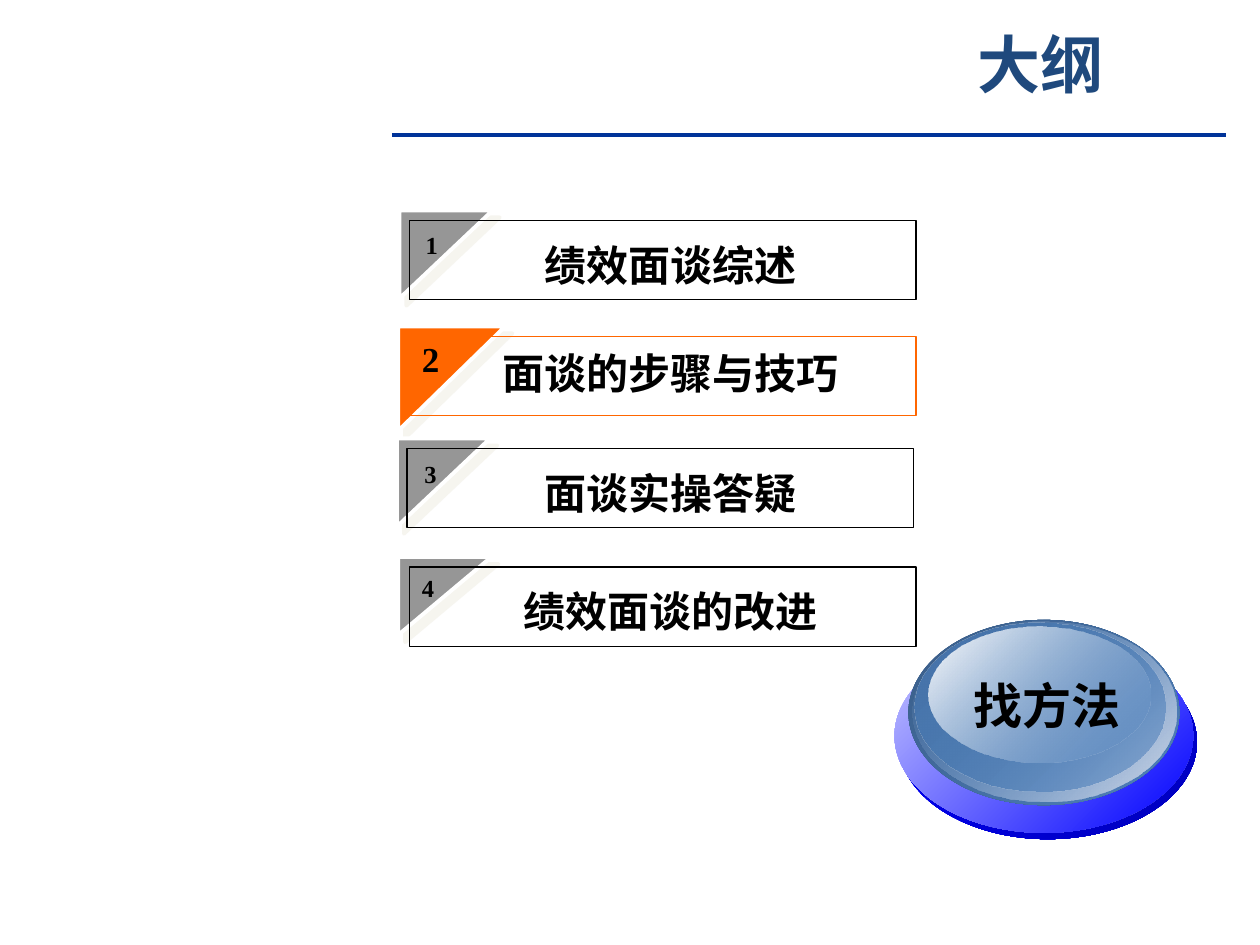
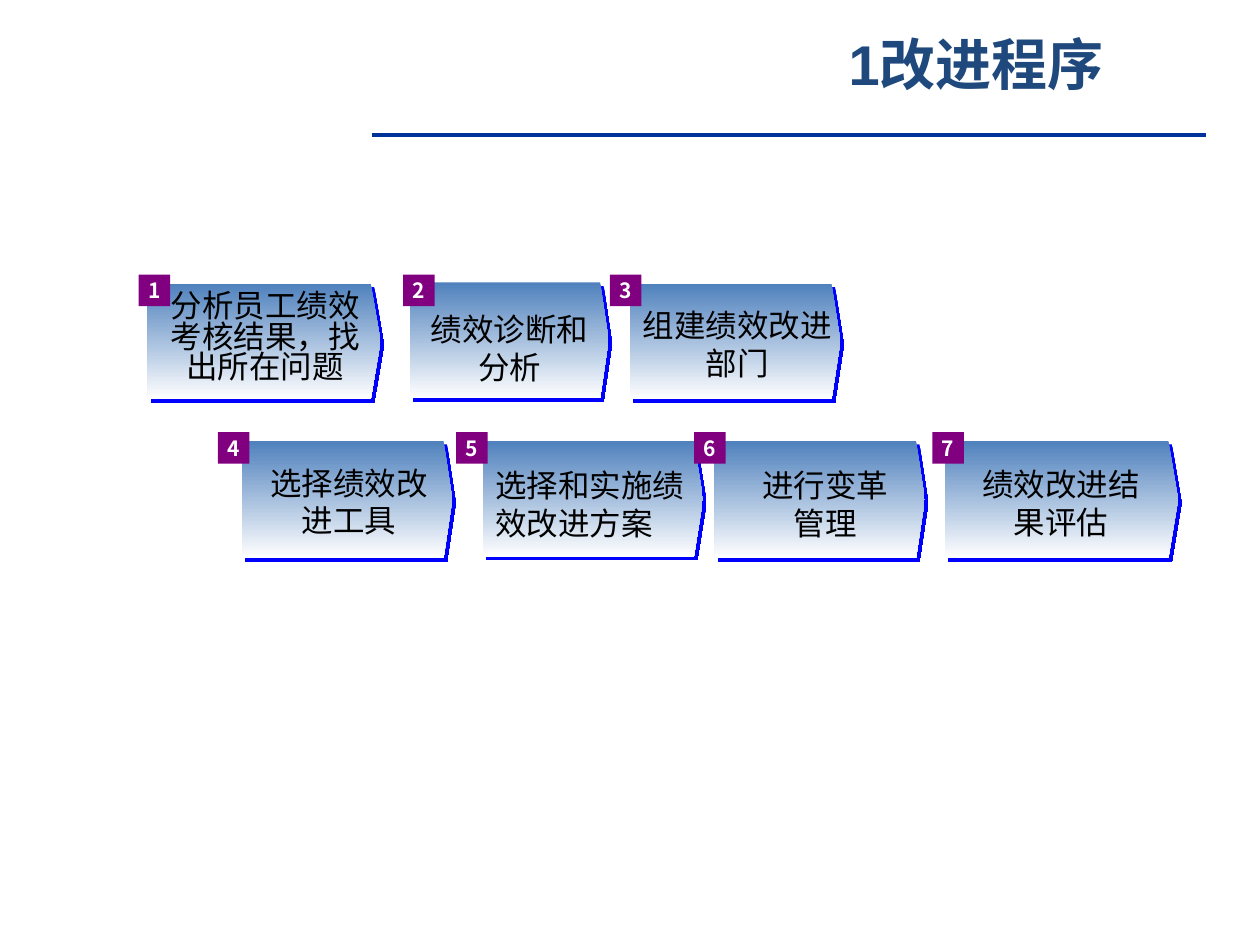
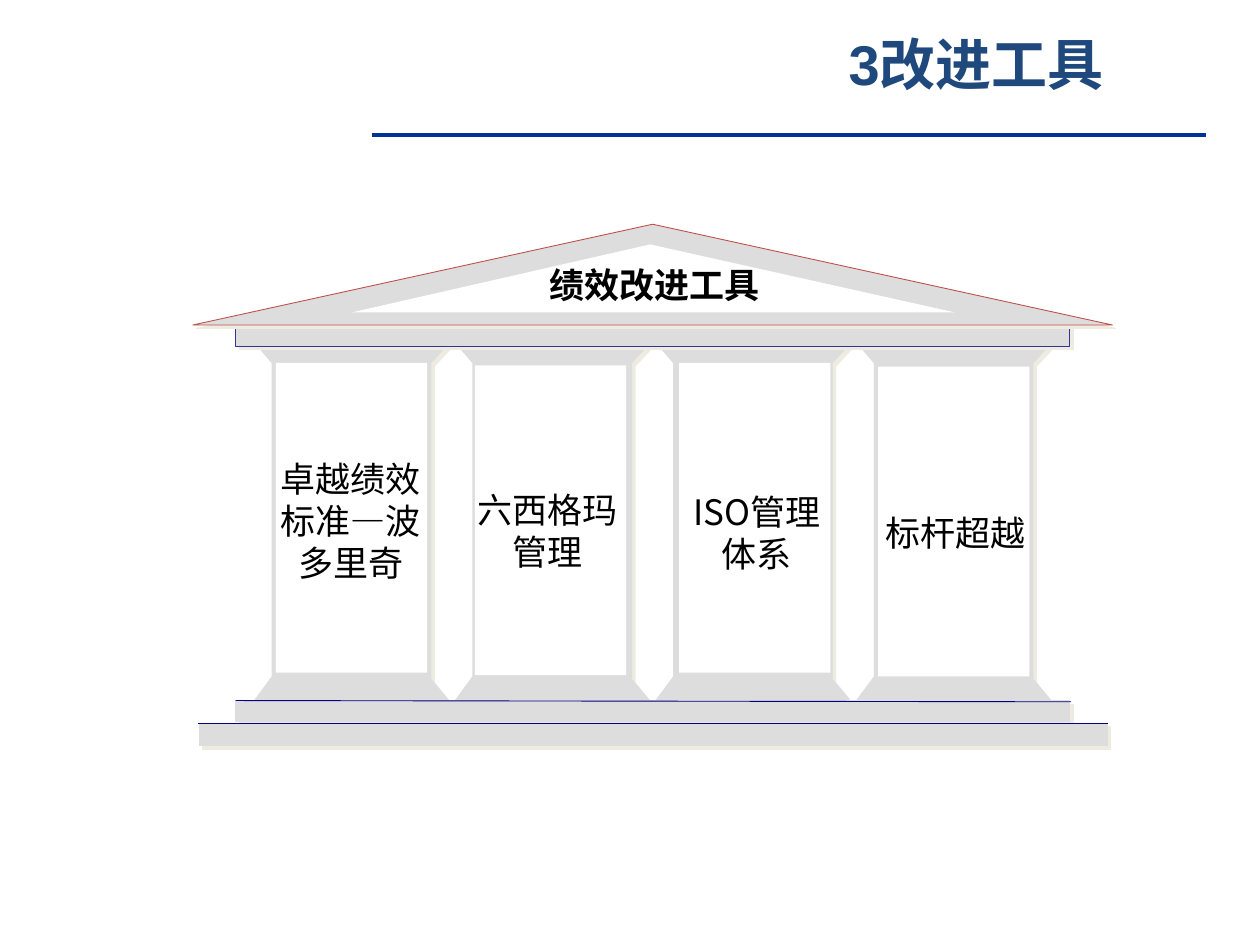
from dataclasses import dataclass
from typing import NamedTuple

from lxml.etree import SubElement
from pptx import Presentation
from pptx.dml.color import RGBColor as Rgb
from pptx.enum.shapes import MSO_CONNECTOR as Link, MSO_SHAPE as Kind
from pptx.enum.text import MSO_ANCHOR as Anchor, PP_ALIGN as Align
from pptx.oxml.ns import qn
from pptx.util import Inches, Pt

# Grid of 100 columns by 75 rows
WIDTH, HEIGHT = Inches(10), Inches(7.5)
COL, ROW = WIDTH / 100, HEIGHT / 75

INK = {
    "title": "1F497D", "rule": "003399", "text": "000000", "white": "FFFFFF",
    "silver": "C0C0C0", "gray": "969696", "orange": "FF6600", "cream": "EEECE1",
    "blue": "0000FF", "navy": "0000BA", "lilac": "C6C6FF", "steel": "4F81BD",
    "deep": "395C87", "mid": "4775AB", "pale": "D7DEEB", "badge": "800080",
    "stone": "DDDDDD", "beam": "333399", "roof": "C0504D", "edge": "000080",
}
SANS, HAN, SERIF = "Arial", "Noto Sans CJK SC", "Times New Roman"


class Box(NamedTuple):
    x: float
    y: float
    w: float
    h: float

    def emu(self) -> tuple:
        return (round(self.x * COL), round(self.y * ROW),
                round(self.w * COL), round(self.h * ROW))


class Stop(NamedTuple):
    ink: str
    alpha: int = 100


class Fade(NamedTuple):
    start: Stop
    end: Stop
    angle: int


class Shade(NamedTuple):
    ink: str
    alpha: int
    dist: float


@dataclass
class Style:
    fill: str | Fade | None = None
    line: str | None = None
    width: float = 0.5
    shade: Shade | None = None


@dataclass
class Item:
    num: str
    text: str
    frame: Box
    flap: Box
    tag: Box
    top: float
    hot: bool = False


class Step(NamedTuple):
    text: str
    plate: Box
    area: Box
    badge: float
    tip: float
    align: Align = Align.CENTER
    gap: float = 1


class Pillar(NamedTuple):
    text: str
    panel: tuple
    label: tuple
    lines: int


# Drawing helpers
def rgb(name: str) -> Rgb:
    return Rgb.from_string(INK[name])


def paint(shape, style: Style) -> None:
    shape.shadow.inherit = False
    props, fill = shape._element.spPr, style.fill
    if isinstance(fill, Fade):
        shape.fill.gradient()
        shape.fill.gradient_angle = 360 - fill.angle
        for stop, want in zip(shape.fill.gradient_stops, fill[:2]):
            stop.color.rgb = rgb(want.ink)
        for node, want in zip(props.iter(qn("a:srgbClr")), fill[:2]):
            if want.alpha < 100:
                SubElement(node, qn("a:alpha"), val=str(want.alpha * 1000))
    elif fill:
        shape.fill.solid()
        shape.fill.fore_color.rgb = rgb(fill)
    else:
        shape.fill.background()
    if style.line:
        shape.line.color.rgb = rgb(style.line)
        shape.line.width = Pt(style.width)
    else:
        shape.line.fill.background()
    if style.shade:
        cast = SubElement(props.find(qn("a:effectLst")), qn("a:outerShdw"),
                          dist=str(Pt(style.shade.dist)), dir="2700000",
                          algn="ctr", rotWithShape="0")
        node = SubElement(cast, qn("a:srgbClr"), val=INK[style.shade.ink])
        SubElement(node, qn("a:alpha"), val=str(style.shade.alpha * 1000))


def draw(slide, kind: Kind, box: Box, style: Style, turn: int = 0,
         tip: float | None = None):
    shape = slide.shapes.add_shape(kind, *box.emu())
    shape.rotation = turn
    if tip is not None:
        shape.adjustments[0] = tip
    paint(shape, style)
    return shape


def trace(slide, points: list, style: Style) -> None:
    spots = [(round(x * COL), round(y * ROW)) for x, y in points]
    path = slide.shapes.build_freeform(*spots[0])
    path.add_line_segments(spots[1:], close=True)
    paint(path.convert_to_shape(), style)


def stroke(slide, x: float, y: float, end: float, ink: str, width: float,
           drop: float = 0) -> None:
    line = slide.shapes.add_connector(
        Link.STRAIGHT, round(x * COL), round(y * ROW),
        round(end * COL), round((y + drop) * ROW))
    line.line.color.rgb = rgb(ink)
    line.line.width = Pt(width)
    SubElement(line._element.spPr, qn("a:effectLst"))


def write(shape, text: str, size: float = 18, font: str = HAN, ink: str = "text",
          bold: bool = False, align: Align = Align.CENTER,
          anchor: Anchor = Anchor.MIDDLE, pad: bool = False, gap: float = 1) -> None:
    frame = shape.text_frame
    frame.word_wrap = True
    frame.vertical_anchor = anchor
    if not pad:
        frame.margin_left = frame.margin_right = 0
        frame.margin_top = frame.margin_bottom = 0
    for i, part in enumerate(text.split("\n")):
        para = frame.add_paragraph() if i else frame.paragraphs[0]
        para.alignment = align
        if gap != 1:
            para.line_spacing = gap
        run = para.add_run()
        run.text = part
        run.font.size, run.font.bold, run.font.name = Pt(size), bold, font
        run.font.color.rgb = rgb(ink)
        SubElement(run._r.get_or_add_rPr(), qn("a:ea"), typeface=HAN)


def label(slide, box: Box, text: str, **form) -> None:
    write(slide.shapes.add_textbox(*box.emu()), text, **form)


def start(deck, title: str, left: float = 29.5,
          area: Box = Box(60, 1.7, 35, 6.6), size: float = 32):
    slide = deck.slides.add_slide(deck.slide_layouts[6])
    stroke(slide, left, 10.7, left + 66.2, "rule", 2)
    label(slide, area, title, size=size, font=SANS, ink="title", bold=True, pad=True)
    return slide


# Slide 1: agenda
SOFT = Shade("cream", 50, 5.7)
ITEMS = [
    Item("1", "绩效面谈综述", Box(32.5, 17.5, 40.2, 6.3),
         Box(31.9, 16.5, 7, 7.4), Box(32.8, 17.8, 3, 3.7), 19),
    Item("2", "面谈的步骤与技巧", Box(32.5, 26.7, 40.2, 6.3),
         Box(31.7, 25.8, 8.3, 8.5), Box(32.5, 26.3, 3, 3.7), 27.6, True),
    Item("3", "面谈实操答疑", Box(32.3, 35.6, 40.2, 6.3),
         Box(31.7, 34.6, 7, 7.4), Box(32.7, 35.9, 3, 3.7), 37.1),
    Item("4", "绩效面谈的改进", Box(32.5, 45, 40.2, 6.3),
         Box(32.2, 43.6, 6.2, 7.4), Box(32.5, 45, 3, 3.3), 46.5),
]
RINGS = [
    (Box(71.3, 51.2, 23.7, 15.4), Stop("blue"), Stop("navy")),
    (Box(71, 50.7, 23.7, 15.4), Stop("lilac"), Stop("blue")),
    (Box(72.1, 49.2, 21.5, 14.7), Stop("deep"), Stop("steel")),
    (Box(72.4, 49.3, 21, 14.3), Stop("steel", 0), Stop("pale")),
    (Box(72.6, 49.4, 19.9, 13.4), Stop("mid"), Stop("steel", 48)),
    (Box(73.7, 49.7, 17.6, 10.8), Stop("white"), Stop("steel", 38)),
]


def agenda(deck) -> None:
    slide = start(deck, "大纲", 31.1, Box(71.7, 1.7, 21.7, 6.6), 36)
    for item in ITEMS:
        if not item.hot:
            draw(slide, Kind.RIGHT_TRIANGLE, item.flap,
                 Style("silver", "silver", 0.75), 90)
        draw(slide, Kind.RIGHT_TRIANGLE, item.flap,
             Style("orange" if item.hot else "gray", "white", 2.25, SOFT), 90)
        draw(slide, Kind.RECTANGLE, item.frame,
             Style(line="orange" if item.hot else "text", width=0.75))
        label(slide, item.tag, item.num, size=20 if item.hot else 14, font=SERIF,
              bold=True, align=Align.LEFT, anchor=Anchor.TOP, pad=True)
        label(slide, Box(34.7, item.top, 37, 4), item.text, size=24, font=SANS,
              bold=True, anchor=Anchor.TOP)
    for box, first, last in RINGS:
        draw(slide, Kind.OVAL, box, Style(Fade(first, last, 45)))
    label(slide, Box(77.3, 53.6, 14.2, 4.7), "找方法", size=28, font=SANS,
          bold=True, align=Align.LEFT)


# Slide 2: procedure
PLATE = Style(Fade(Stop("steel"), Stop("white"), 90), shade=Shade("blue", 100, 2.8))
STEPS = [
    Step("分析员工绩效考核结果，找出所在问题", Box(11.7, 22.5, 18.5, 9.2),
         Box(12.5, 23.3, 17.1, 7.2), 11, 0.085, gap=0.8),
    Step("绩效诊断和\n分析", Box(32.5, 22.4, 15.8, 9.2),
         Box(32.9, 24.6, 15.1, 6), 32, 0.073),
    Step("组建绩效改进部门", Box(50, 22.5, 16.7, 9.2),
         Box(50.3, 24.3, 16.4, 6), 48.4, 0.077),
    Step("选择绩效改进工具", Box(19.2, 35, 16.7, 9.3),
         Box(20.3, 36.8, 14.8, 6), 17.3, 0.075),
    Step("选择和实施绩效改进方案", Box(38.3, 35, 17.5, 9.2),
         Box(39.3, 37, 16, 6), 36.2, 0.08, Align.LEFT),
    Step("进行变革\n管理", Box(56.7, 35, 16.7, 9.3),
         Box(58.1, 37, 14.8, 6), 55.1, 0.075),
    Step("绩效改进结果评估", Box(75, 35, 18.5, 9.3),
         Box(76.8, 36.9, 14.8, 6), 74, 0.083),
]


def process(deck) -> None:
    slide = start(deck, "1改进程序")
    for step in reversed(STEPS):
        draw(slide, Kind.PENTAGON, step.plate, PLATE, tip=step.tip)
    for num, step in enumerate(STEPS, 1):
        label(slide, step.area, step.text, align=step.align, gap=step.gap)
        top = 21.8 if num <= 3 else 34.3
        badge = draw(slide, Kind.RECTANGLE, Box(step.badge, top, 2.5, 2.5),
                     Style("badge"))
        write(badge, str(num), size=12, ink="white", bold=True)


# Slide 3: temple of tools
CAST = Shade("cream", 100, 2.8)
STONE = Style("stone", "stone", shade=CAST)
SHAFT = [(0.2, 27.4), (15.3, 27.4), (14, 28.8), (14, 53.9), (15.4, 55.6),
         (0, 55.6), (1.4, 53.7), (1.4, 28.8)]
PILLARS = [
    Pillar("卓越绩效标准—波多里奇", (21.9, 28.8), (22.1, 36.3), 3),
    Pillar("六西格玛管理", (37.7, 29), (37.7, 38.8), 2),
    Pillar("ISO管理体系", (53.9, 28.8), (54.3, 38.9), 2),
    Pillar("标杆超越", (69.7, 29.1), (70.1, 40.6), 1),
]


def temple(deck) -> None:
    slide = start(deck, "3改进工具")
    for i in range(len(PILLARS)):
        left = 20.2 + 15.93 * i
        trace(slide, [(left + x, y) for x, y in SHAFT], STONE)
    # Beam, roof and steps
    draw(slide, Kind.RECTANGLE, Box(18.7, 25.8, 66.2, 1.7),
         Style("stone", "beam", shade=CAST))
    draw(slide, Kind.ISOSCELES_TRIANGLE, Box(15.3, 17.8, 73, 8),
         Style("stone", "roof", shade=CAST))
    trace(slide, [(27.9, 24.8), (75.8, 24.8), (51.6, 19.4)], Style("white"))
    label(slide, Box(41.5, 20.9, 20.9, 3.3), "绩效改进工具", size=20, bold=True)
    draw(slide, Kind.RECTANGLE, Box(18.7, 55.6, 66.2, 1.7), STONE)
    draw(slide, Kind.RECTANGLE, Box(15.8, 57.4, 72.1, 1.8), STONE)
    stroke(slide, 15.7, 57.4, 87.9, "edge", 0.5)
    stroke(slide, 18.7, 55.6, 85, "edge", 0.5, 0.1)
    # Panels and their names
    for pillar in PILLARS:
        draw(slide, Kind.RECTANGLE, Box(*pillar.panel, 12, 24.6), Style("white"))
        plaque = draw(slide, Kind.RECTANGLE,
                      Box(*pillar.label, 11.5, 3.33 * pillar.lines), Style("white"))
        write(plaque, pillar.text, size=20)


def main() -> None:
    deck = Presentation()
    deck.slide_width, deck.slide_height = WIDTH, HEIGHT
    for build in (agenda, process, temple):
        build(deck)
    deck.save("out.pptx")


if __name__ == "__main__":
    main()
